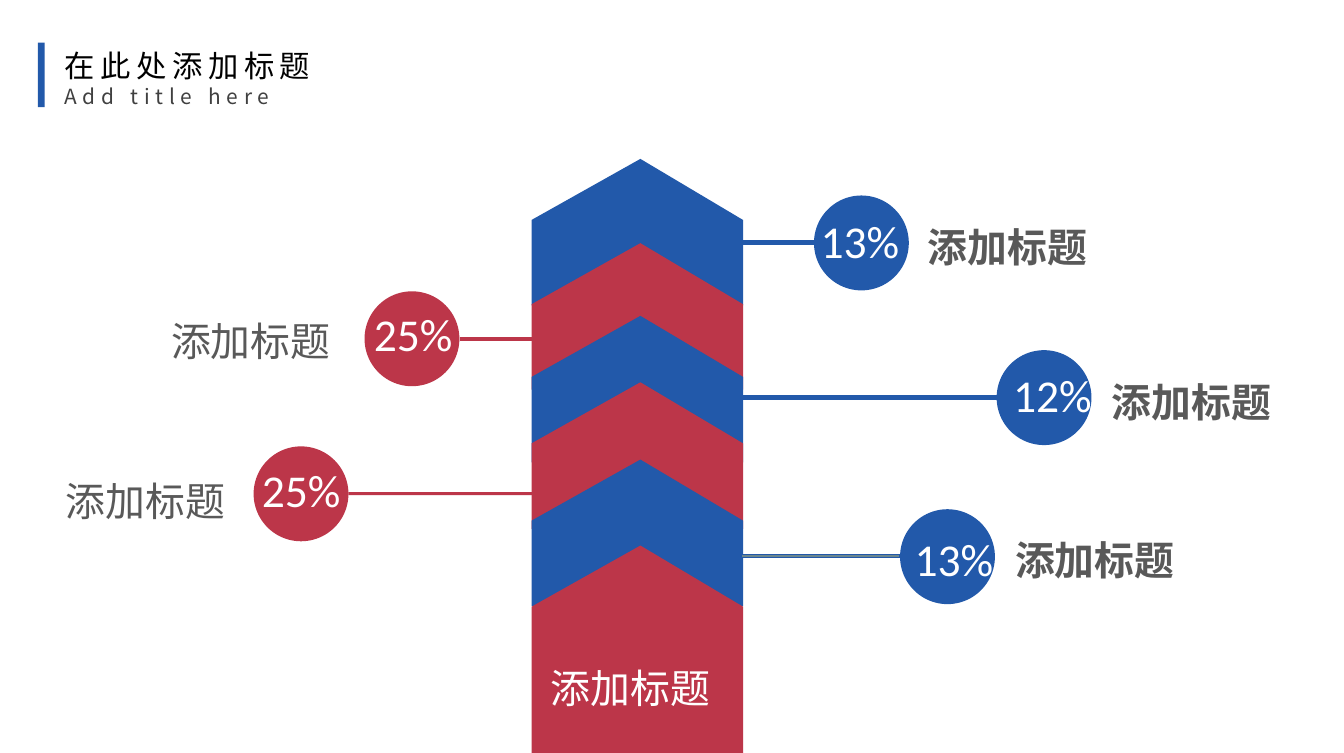
"""Build a slide with a striped upward arrow and five percentage callouts."""
from lxml.etree import SubElement
from pptx import Presentation
from pptx.dml.color import RGBColor
from pptx.enum.shapes import MSO_SHAPE
from pptx.enum.text import MSO_AUTO_SIZE, PP_ALIGN
from pptx.oxml.ns import qn
from pptx.util import Pt

COLORS = {
    "blue": "2259AA", "red": "BC3649", "slate": "6A868F", "white": "FFFFFF",
    "black": "000000", "label": "595959", "subtitle": "404040",
}
CJK_FONT = "Noto Sans CJK SC"
LABEL = "添加标题"

prs = Presentation()
prs.slide_width, prs.slide_height = Pt(708.48), Pt(396.72)
s = prs.slides.add_slide(prs.slide_layouts[6])


def paint(sp, fill, line=None):
    sp.shadow.inherit = False
    sp.fill.solid()
    sp.fill.fore_color.rgb = RGBColor.from_string(COLORS[fill])
    if line:
        sp.line.color.rgb = RGBColor.from_string(COLORS[line])
        sp.line.width = Pt(0.75)
    else:
        sp.line.fill.background()


def add_text(x, y, w, h, lines, align=None, font="Calibri", bold=None, spacing=None):
    tf = s.shapes.add_textbox(Pt(x), Pt(y), Pt(w), Pt(h)).text_frame
    tf.word_wrap = False
    tf.auto_size = MSO_AUTO_SIZE.SHAPE_TO_FIT_TEXT
    tf.margin_left = tf.margin_right = Pt(5.2)
    tf.margin_top = tf.margin_bottom = Pt(2.6)
    tf.text = "\n".join(text for text, size, color in lines)
    for p, (text, size, color) in zip(tf.paragraphs, lines):
        p.alignment = align
        r = p.runs[0]
        r.font.name, r.font.size, r.font.bold = font, Pt(size), bold
        r.font.color.rgb = RGBColor.from_string(COLORS[color])
        rPr = r.font._element
        SubElement(rPr, qn("a:ea")).set("typeface", CJK_FONT)
        if spacing:
            rPr.set("spc", str(spacing * 100))


left, apex, right = 280.2, 337.6, 391.7
shoulder, height = 32.2, 77.2
tops = [83.7, 128.1, 166.4, 201.4, 242.1, 287.4]
for i, top in enumerate(tops):
    bottom = 396.72 if top == tops[-1] else top + height
    fb = s.shapes.build_freeform(Pt(right), Pt(bottom), scale=1.0)
    fb.add_line_segments([
        (Pt(left), Pt(bottom)), (Pt(left), Pt(top + shoulder)),
        (Pt(apex), Pt(top)), (Pt(right), Pt(top + shoulder)),
    ])
    paint(fb.convert_to_shape(), ("blue", "red")[i % 2])

# Each row: value, colour, circle, bar, bar fill, bar outline, value box, label box
callouts = [
    ("13%", "blue", (429.1, 103), (391, 126.7, 38.2, 2), "blue", "blue", (427, 109.4), (483.8, 114.5)),
    ("12%", "blue", (525.4, 184.5), (391, 208.6, 136.8, 2), "blue", "blue", (528.5, 190.8), (581, 196.6)),
    ("13%", "blue", (474.5, 268.3), (391, 292.3, 83.5, 1.3), "slate", "blue", (476.6, 277.2), (529.9, 279.4)),
    ("25%", "red", (192.2, 153.5), (242.4, 177.6, 38.2, 2), "red", None, (191.5, 158.4), (85, 164.2)),
    ("25%", "red", (133.7, 235.2), (183.6, 259.3, 97.2, 1.6), "red", None, (132.5, 240.5), (29.5, 248.4)),
]
for value, color, circle, bar, bar_fill, bar_line, value_at, label_at in callouts:
    sp = s.shapes.add_shape(MSO_SHAPE.OVAL, *map(Pt, circle), Pt(50), Pt(50))
    paint(sp, color)
    sp = s.shapes.add_shape(MSO_SHAPE.RECTANGLE, *map(Pt, bar))
    paint(sp, bar_fill, bar_line)
    add_text(*value_at, 52.6, 34.6, [(value, 24, "white")], align=PP_ALIGN.CENTER)
    add_text(*label_at, 95.8, 31, [(LABEL, 21, "label")], bold=color == "blue")

add_text(285.1, 347, 95.8, 31, [(LABEL, 21, "white")])

sp = s.shapes.add_shape(MSO_SHAPE.RECTANGLE, Pt(20), Pt(22.5), Pt(3.5), Pt(34))
paint(sp, "blue")
add_text(28.8, 22.3, 144.7, 39.6,
         [("在此处添加标题", 16, "black"), ("Add title here", 11, "subtitle")],
         font=CJK_FONT, spacing=3)

prs.save("out.pptx")
